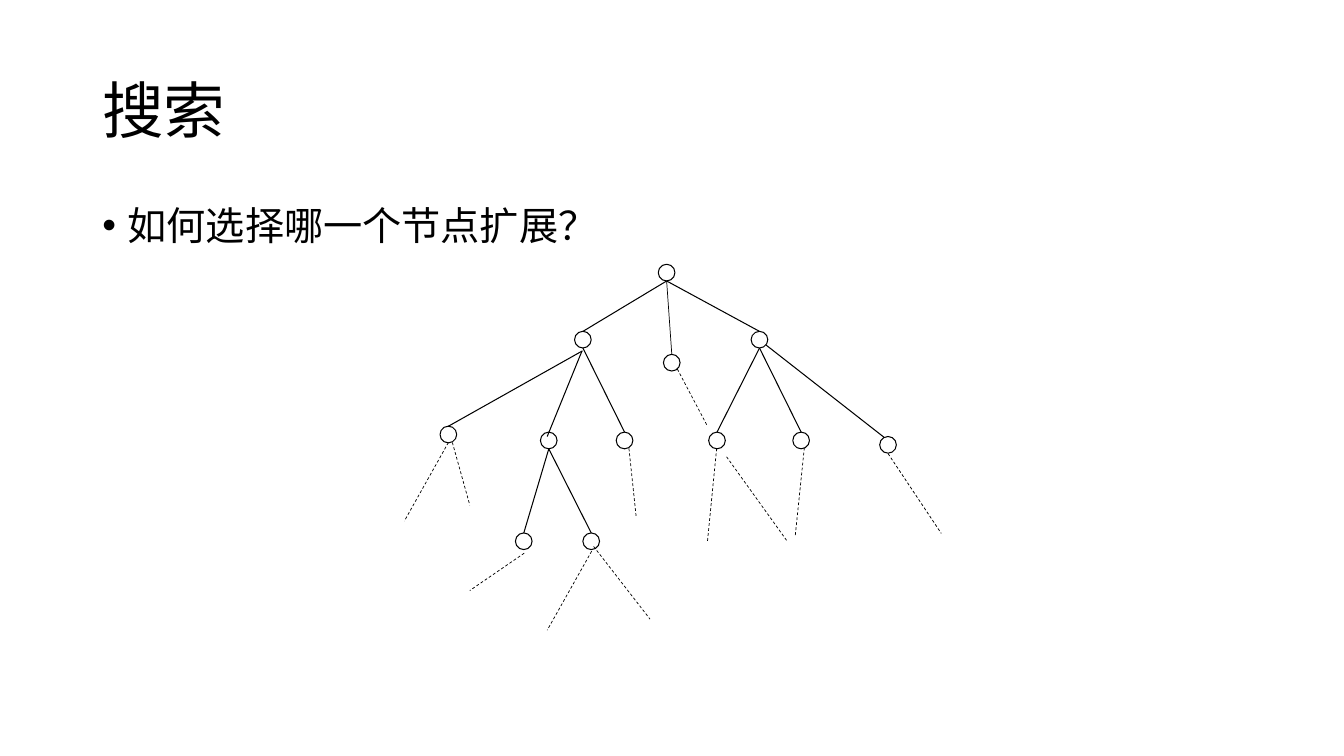
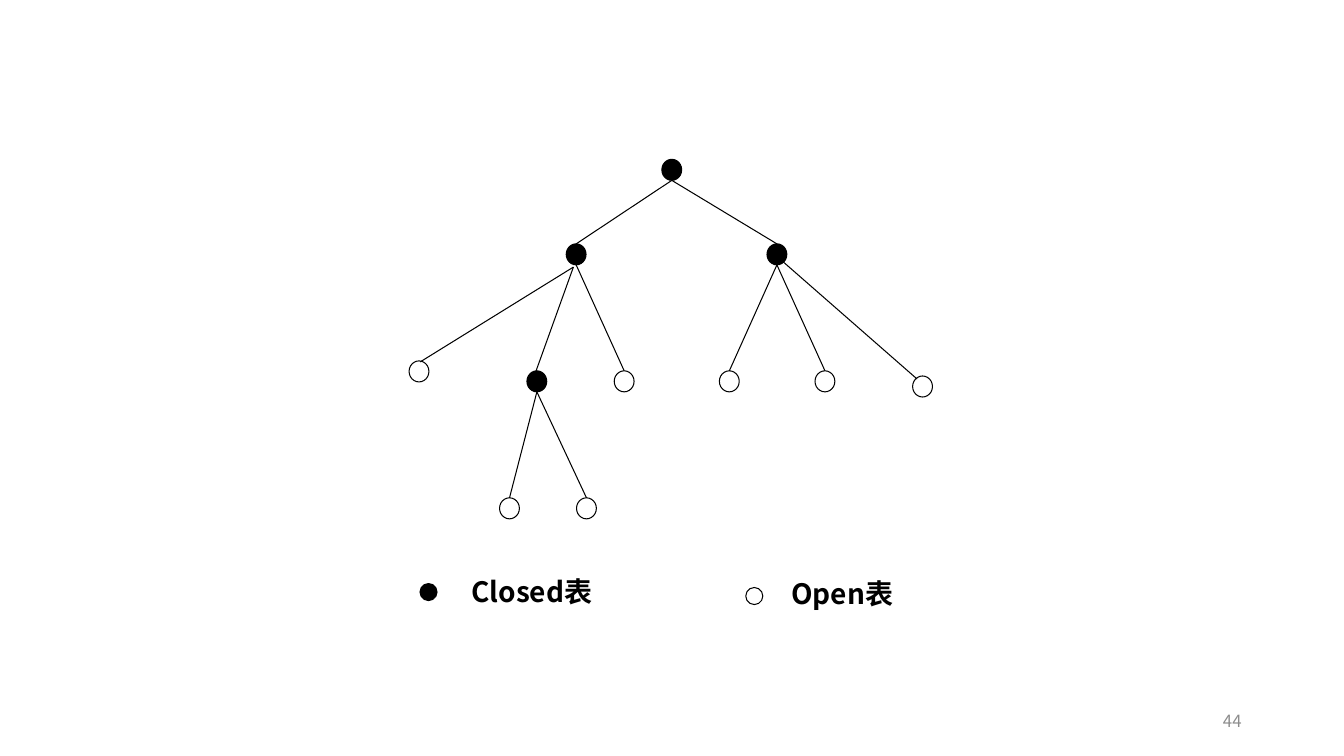
from lxml.etree import SubElement
from pptx import Presentation
from pptx.dml.color import RGBColor
from pptx.enum.dml import MSO_LINE_DASH_STYLE as Dash
from pptx.enum.shapes import MSO_CONNECTOR as Connector, MSO_SHAPE as Shape
from pptx.enum.text import MSO_ANCHOR as Anchor, PP_ALIGN as Align
from pptx.oxml.ns import qn
from pptx.util import Cm, Pt

FONT = "Noto Sans CJK SC"
BLACK = "000000"
GREY = "8C8C8C"
color = RGBColor.from_string


def add_text(page, text, left, top, width, height, size, ink=BLACK, bold=False,
             anchor=Anchor.TOP, align=Align.LEFT, spacing=1.0, bullet=None):
    box = page.shapes.add_textbox(Cm(left), Cm(top), Cm(width), Cm(height))
    frame = box.text_frame
    frame.word_wrap = True
    frame.vertical_anchor = anchor
    frame.text = text
    para = frame.paragraphs[0]
    para.alignment = align
    para.line_spacing = spacing
    if bullet:
        props = para._p.get_or_add_pPr()
        props.set("marL", str(Cm(0.64)))
        props.set("indent", str(-Cm(0.64)))
        SubElement(props, qn("a:buFont")).set("typeface", "Arial")
        SubElement(props, qn("a:buChar")).set("char", bullet)
    for span in para.runs:
        span.font.size = Pt(size)
        span.font.bold = bold
        span.font.name = FONT
        span.font.color.rgb = color(ink)
        SubElement(span._r.get_or_add_rPr(), qn("a:ea")).set("typeface", FONT)


def add_line(page, x1, y1, x2, y2, weight=0.75, dash=None):
    line = page.shapes.add_connector(Connector.STRAIGHT, Cm(x1), Cm(y1), Cm(x2), Cm(y2))
    line.line.color.rgb = color(BLACK)
    line.line.width = Pt(weight)
    if dash:
        line.line.dash_style = dash
    SubElement(line._element.spPr, qn("a:effectLst"))


deck = Presentation()
deck.slide_width = Cm(33.87)
deck.slide_height = Cm(19.05)
blank = deck.slide_layouts[6]

search_page = deck.slides.add_slide(blank)
add_text(search_page, "搜索", 2.33, 1.01, 29.21, 3.68, 44, anchor=Anchor.MIDDLE, spacing=0.9)
add_text(search_page, "如何选择哪一个节点扩展？", 2.33, 5.07, 29.21, 12.09, 28,
         spacing=0.9, bullet="•")

tables_page = deck.slides.add_slide(blank)
add_text(tables_page, "44", 23.92, 17.66, 7.62, 1.01, 12, ink=GREY,
         anchor=Anchor.MIDDLE, align=Align.RIGHT)

edges = [
    ("root", "left"), ("root", "right"), ("left", "left_c"),
    ("right", "right_a"), ("right", "right_b"),
    ("left_b", "leaf_a"), ("left_b", "leaf_b"),
]
trees = [
    {
        "page": search_page,
        "size": (0.42, 0.42),
        "closed": [],
        "nodes": {
            "root": (16.8, 6.87), "left": (14.69, 8.56), "right": (19.14, 8.56),
            "middle": (16.93, 9.14),
            "left_a": (11.3, 10.95), "left_b": (13.83, 11.1), "left_c": (15.74, 11.1),
            "right_a": (18.07, 11.1), "right_b": (20.19, 11.1), "right_c": (22.38, 11.21),
            "leaf_a": (13.2, 13.64), "leaf_b": (14.9, 13.64),
        },
        "slanted": [
            (14.68, 8.84, 11.3, 10.74),
            (14.66, 8.86, 13.79, 11),
            (19.3, 8.69, 22.28, 11.02),
        ],
    },
    {
        "page": tables_page,
        "size": (0.5, 0.53),
        "closed": ["root", "left", "right", "left_b"],
        "nodes": {
            "root": (16.93, 4.28), "left": (14.52, 6.41), "right": (19.58, 6.41),
            "left_a": (10.56, 9.36), "left_b": (13.53, 9.61), "left_c": (15.73, 9.61),
            "right_a": (18.38, 9.61), "right_b": (20.79, 9.61), "right_c": (23.25, 9.74),
            "leaf_a": (12.84, 12.81), "leaf_b": (14.78, 12.81),
        },
        "slanted": [
            (14.45, 6.73, 10.59, 9.12),
            (14.45, 6.73, 13.49, 9.4),
            (19.74, 6.6, 23.11, 9.55),
        ],
    },
    {
        "page": tables_page,
        "size": (0.43, 0.43),
        "closed": ["closed_key"],
        "nodes": {"closed_key": (10.8, 14.92), "open_key": (19.01, 15.02)},
        "slanted": [],
    },
]

for tree in trees:
    page, nodes = tree["page"], tree["nodes"]
    width, height = tree["size"]
    for name, (x, y) in nodes.items():
        node = page.shapes.add_shape(Shape.OVAL, Cm(x - width / 2), Cm(y - height / 2),
                                     Cm(width), Cm(height))
        node.shadow.inherit = False
        node.line.color.rgb = color(BLACK)
        node.line.width = Pt(0.75)
        if name in tree["closed"]:
            node.fill.solid()
            node.fill.fore_color.rgb = color(BLACK)
        else:
            node.fill.background()
    for parent, child in edges:
        if parent in nodes:
            (x1, y1), (x2, y2) = nodes[parent], nodes[child]
            add_line(page, x1, y1 + height / 2, x2, y2 - height / 2)
    for ends in tree["slanted"]:
        add_line(page, *ends)

add_line(search_page, 16.8, 7.08, 16.93, 8.93, weight=0.5)
unexplored = [
    (17.07, 9.3, 17.83, 10.74),
    (22.38, 11.43, 23.72, 13.44),
    (20.27, 11.28, 20.04, 13.51),
    (18.06, 11.3, 17.83, 13.64),
    (18.31, 11.51, 19.84, 13.64),
    (11.3, 11.15, 10.19, 13.13),
    (14.91, 13.89, 13.79, 15.88),
    (15.85, 11.3, 16.03, 13),
    (11.4, 11.15, 11.84, 12.73),
    (13.21, 13.94, 11.84, 14.88),
    (14.96, 13.77, 16.38, 15.6),
]
for ends in unexplored:
    add_line(search_page, *ends, weight=0.5, dash=Dash.DASH)

for label, left, top in [("Closed表", 11.63, 14.35), ("Open表", 19.69, 14.4)]:
    add_text(tables_page, label, left, top, 6.5, 1.12, 20, bold=True)

deck.save("out.pptx")
